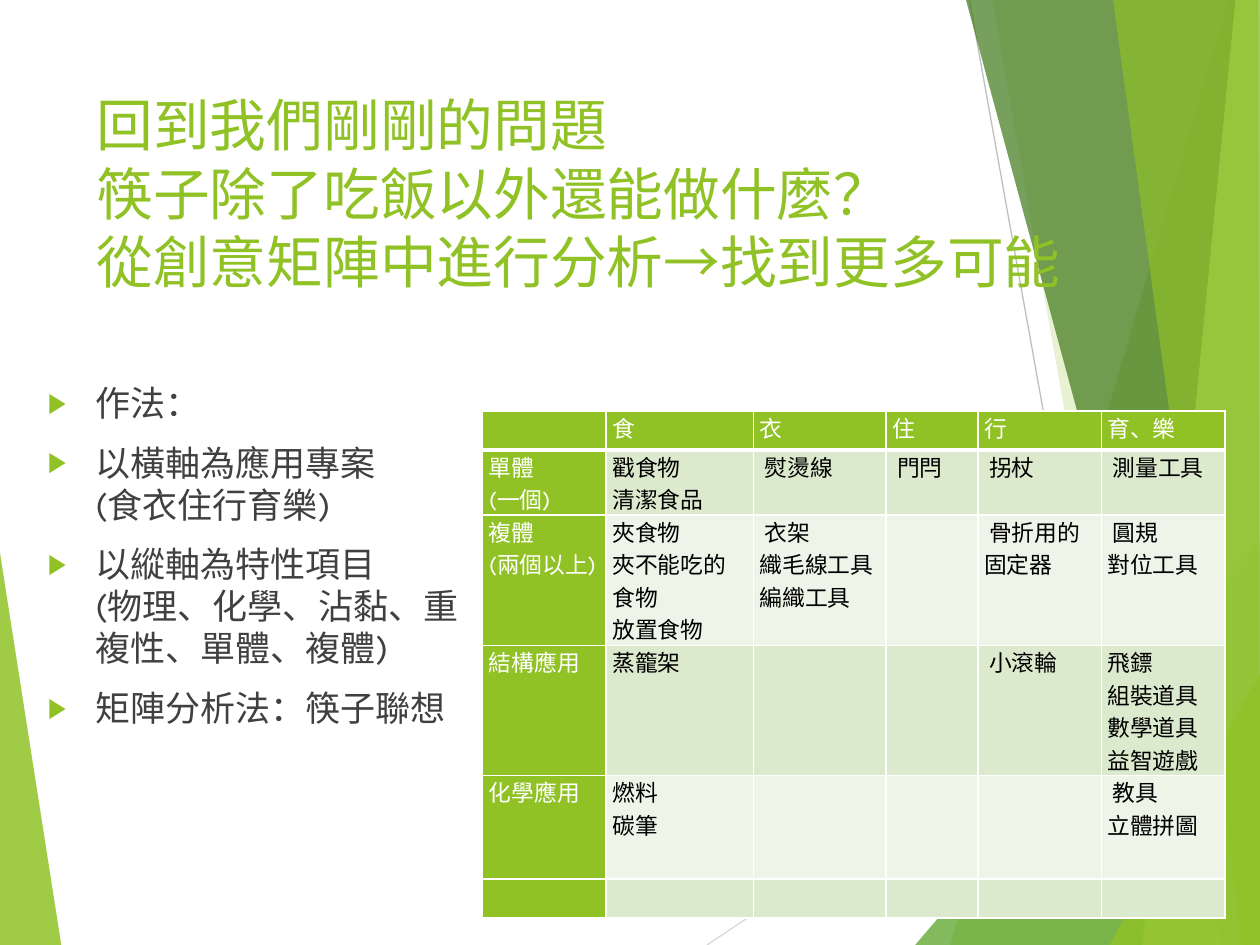
"""Builds a slide with a creative matrix of uses for chopsticks."""
from lxml import etree
from pptx import Presentation
from pptx.dml.color import RGBColor
from pptx.enum.shapes import MSO_CONNECTOR
from pptx.enum.text import MSO_ANCHOR, MSO_AUTO_SIZE, PP_ALIGN
from pptx.oxml.ns import qn
from pptx.util import Pt

LINE = MSO_CONNECTOR.STRAIGHT
TOP = MSO_ANCHOR.TOP
FIXED = MSO_AUTO_SIZE.NONE
LEFT = PP_ALIGN.LEFT

HUES = {"green": "90C226", "leaf": "54A021", "dark": "3F7819", "lime": "C0E474",
        "text": "404040", "white": "FFFFFF", "black": "000000",
        "band": "DBE9CD", "pale": "EEF4E8", "gray": "BFBFBF", "light": "D9D9D9"}

TITLE = "回到我們剛剛的問題\v筷子除了吃飯以外還能做什麼？\v從創意矩陣中進行分析→找到更多可能"
STEPS = ["作法：",
         "以橫軸為應用專案 \v(食衣住行育樂)",
         "以縱軸為特性項目 \v(物理、化學、沾黏、重複性、單體、複體)",
         "矩陣分析法：筷子聯想"]
GRID = [
    ["", "食", "衣", "住", "行", "育、樂"],
    ["單體\n(一個)", "戳食物\n清潔食品", " 熨燙線", " 門閂", " 拐杖", " 測量工具"],
    ["複體\n(兩個以上)", "夾食物\n夾不能吃的食物\n放置食物", " 衣架\n織毛線工具\n編織工具", "",
     " 骨折用的固定器", " 圓規\n對位工具"],
    ["結構應用", "蒸籠架", "", "", " 小滾輪", "飛鏢\n組裝道具\n數學道具\n益智遊戲"],
    ["化學應用", "燃料\n碳筆", "", "", "", " 教具\n立體拼圖"],
    [""] * 6,
]
CALIBRI = {"清潔食品", "放置食物", "織毛線工具", "編織工具", "對位工具",
           "數學道具", "益智遊戲", "立體拼圖"}
WIDTHS = [70.6, 84.2, 75.6, 52.6, 70.6, 70.6]
HEIGHTS = [22.3, 23.8, 71.3, 67, 59, 22.3]

WEDGE = ("green", 85, [(0, 316), (35, 540), (0, 540)])
RAYS = [((404, 540), (720, 329), "light"), ((554, 0), (651, 540), "gray")]
SHARDS = [
    ("green", 30, [(702, 0), (543, 540), (720, 540), (720, 0)]),
    ("green", 20, [(567, 0), (662, 540), (720, 540), (720, 0)]),
    ("leaf", 72, [(523, 540), (720, 309), (720, 540)]),
    ("dark", 70, [(552, 0), (698, 540), (720, 540), (720, 0)]),
    ("lime", 70, [(706, 0), (653, 540), (720, 540), (720, 0)]),
    ("green", 65, [(636, 0), (710, 540), (720, 540), (719, 0)]),
    ("green", 80, [(634, 540), (720, 385), (720, 540)]),
]


def hue(name):
    return RGBColor.from_string(HUES[name])


def add(root, tag, **attrs):
    return etree.SubElement(root, qn(tag), attrs)


def shard(slide, name, alpha, dots):
    pen = slide.shapes.build_freeform(*dots[0], scale=Pt(1))
    pen.add_line_segments(dots[1:], close=True)
    shape = pen.convert_to_shape()
    shape.shadow.inherit = False
    shape.line.fill.background()
    shape.fill.solid()
    shape.fill.fore_color.rgb = hue(name)
    fill = shape._element.spPr.find(qn("a:solidFill"))
    add(fill[0], "a:alpha", val=str(alpha * 1000))


def ray(slide, start, end, name):
    line = slide.shapes.add_connector(LINE, *map(Pt, start + end))
    line.line.color.rgb = hue(name)
    line.line.width = Pt(0.75)
    add(line._element.spPr, "a:effectLst")


def style(para, size, name, pitch, face="Karla"):
    para.alignment = LEFT
    para.line_spacing = Pt(pitch)
    for run in para.runs:
        run.font.size = Pt(size)
        run.font.name = face
        run.font.color.rgb = hue(name)


def place(slide, shape, left, top, width, height):
    slide.shapes._spTree.append(shape._element)
    shape.left, shape.top = Pt(left), Pt(top)
    shape.width, shape.height = Pt(width), Pt(height)
    frame = shape.text_frame
    frame.auto_size = FIXED
    frame.word_wrap = True
    frame.vertical_anchor = TOP
    return frame


def bullet(para):
    props = para._p.get_or_add_pPr()
    props.set("marL", str(Pt(27)))
    props.set("indent", str(-Pt(27)))
    add(add(props, "a:buClr"), "a:srgbClr", val=HUES["green"])
    add(props, "a:buSzPct", val="80000")
    add(props, "a:buChar", char="▶")


def border(cell, base):
    props = cell._tc.get_or_add_tcPr()
    for side, width in (("L", 1), ("R", 1), ("T", 1), ("B", base)):
        edge = add(props, "a:ln" + side, w=str(Pt(width)))
        add(add(edge, "a:solidFill"), "a:srgbClr", val=HUES["white"])


def matrix(slide):
    frame = slide.shapes.add_table(len(GRID), len(WIDTHS), Pt(275.8), Pt(234.9),
                                   Pt(sum(WIDTHS)), Pt(sum(HEIGHTS)))
    table = frame.table
    for col, width in zip(table.columns, WIDTHS):
        col.width = Pt(width)
    for row, height in zip(table.rows, HEIGHTS):
        row.height = Pt(height)
    for r, texts in enumerate(GRID):
        for c, text in enumerate(texts):
            cell = table.cell(r, c)
            head = r == 0 or c == 0
            cell.margin_left = cell.margin_right = Pt(3.6)
            cell.margin_top = cell.margin_bottom = 0
            border(cell, 3 if r == 0 else 1)
            cell.fill.solid()
            cell.fill.fore_color.rgb = hue("green" if head else "band" if r % 2 else "pale")
            cell.text_frame.text = text
            for para in cell.text_frame.paragraphs:
                face = "Calibri" if para.text in CALIBRI else "Karla"
                style(para, 13, "white" if head else "black", 18.6, face)


def main():
    deck = Presentation()
    deck.slide_width, deck.slide_height = Pt(720), Pt(540)
    slide = deck.slides.add_slide(deck.slide_layouts[1])
    shard(slide, *WEDGE)
    for item in RAYS:
        ray(slide, *item)
    for item in SHARDS:
        shard(slide, *item)

    title = place(slide, slide.shapes.title, 48, 48, 578, 104)
    title.text = TITLE
    style(title.paragraphs[0], 32.4, "green", 38.9)

    body = place(slide, slide.placeholders[1], 20.2, 214.6, 255.6, 257)
    for i, text in enumerate(STEPS):
        para = body.add_paragraph() if i else body.paragraphs[0]
        para.text = text
        bullet(para)
        para.space_before = Pt(10 if i else 0)
        style(para, 20, "text", 24)

    matrix(slide)
    deck.save("out.pptx")


if __name__ == "__main__":
    main()
